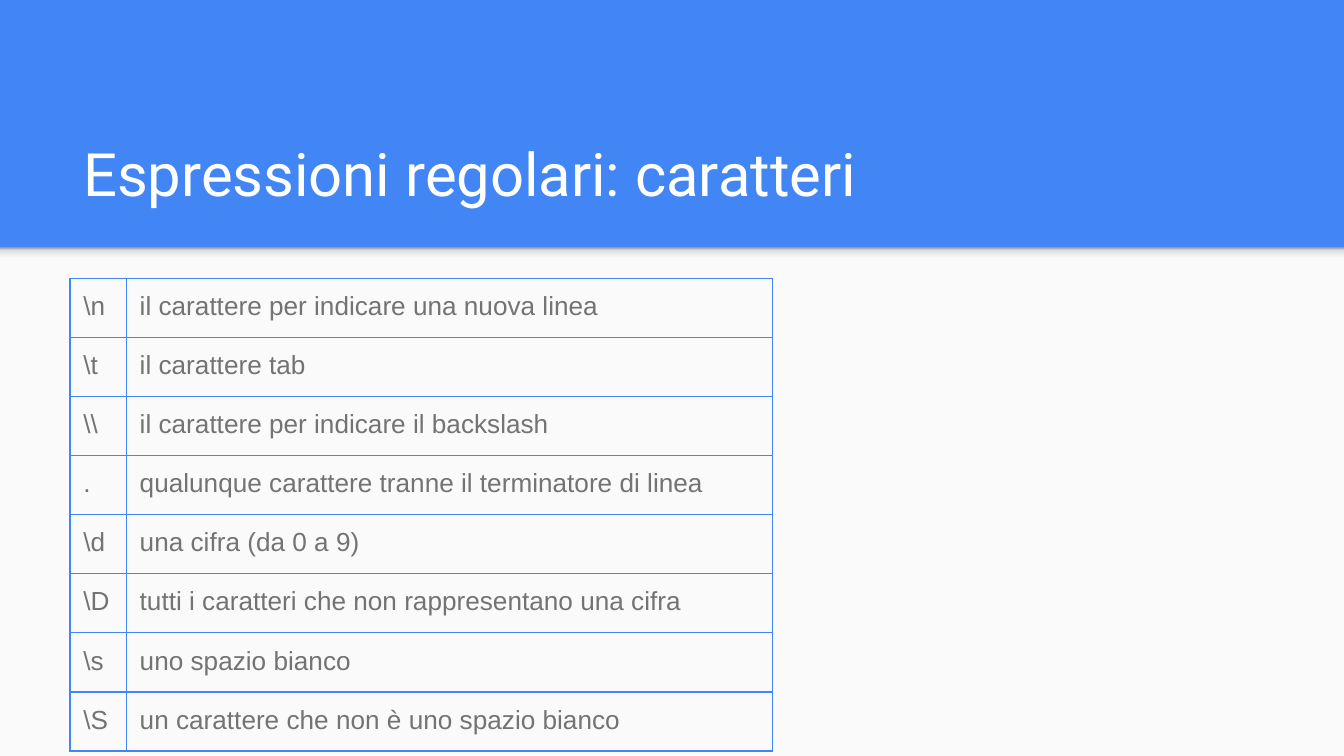
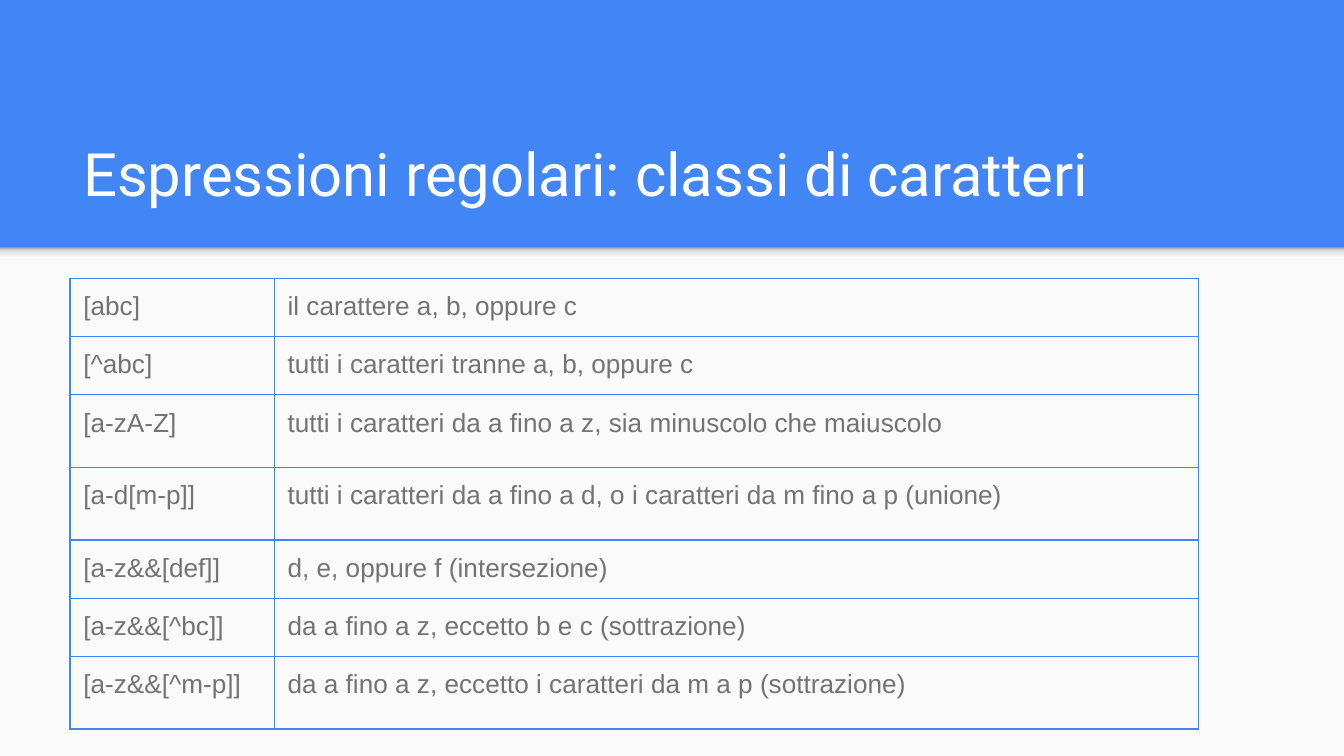
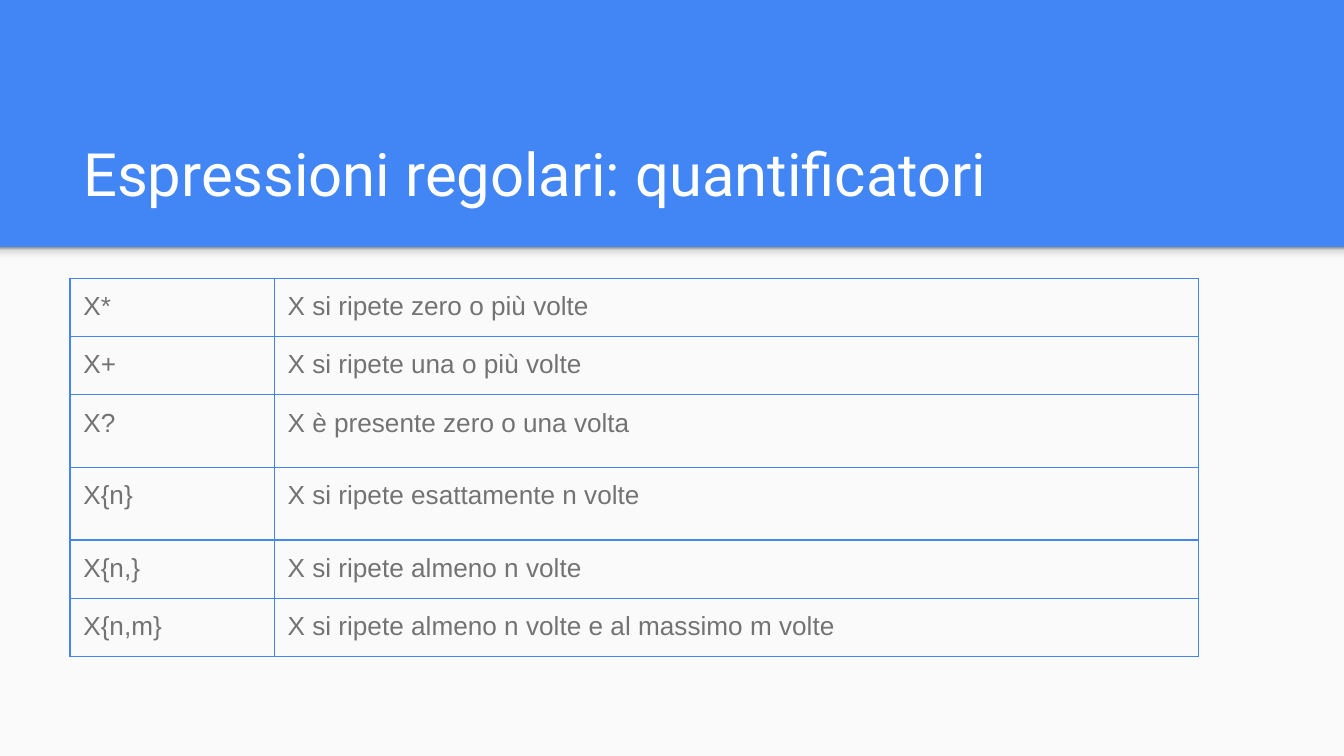
"""Build three slides of reference tables on regular expressions."""
from dataclasses import dataclass

from lxml import etree
from pptx import Presentation
from pptx.dml.color import RGBColor
from pptx.enum.shapes import MSO_SHAPE
from pptx.enum.text import MSO_ANCHOR
from pptx.oxml.ns import qn
from pptx.slide import Slide
from pptx.table import _Cell
from pptx.text.text import TextFrame
from pptx.util import Inches, Pt

RECTANGLE = MSO_SHAPE.RECTANGLE
TOP = MSO_ANCHOR.TOP
BOTTOM = MSO_ANCHOR.BOTTOM

BLUE = RGBColor(0x42, 0x85, 0xF4)
PAPER = RGBColor(0xFA, 0xFA, 0xFA)
WHITE = RGBColor(0xFF, 0xFF, 0xFF)
GREY = RGBColor(0x73, 0x73, 0x73)
SHADE_LIGHT = RGBColor(0xF9, 0xF9, 0xF9)
SHADE_MID = RGBColor(0xDE, 0xDE, 0xDE)
SHADE_DARK = RGBColor(0x99, 0x99, 0x99)
SHADE_STOPS = ((0, SHADE_LIGHT), (36, SHADE_LIGHT), (80, SHADE_MID), (100, SHADE_DARK))

SLIDE_WIDTH = Inches(10)
SLIDE_HEIGHT = SLIDE_WIDTH * 9 // 16
HEADER_HEIGHT = Inches(1.84)
SHADE_HEIGHT = Inches(0.12)
LEFT = Inches(0.52)
TABLE_TOP = Inches(2.07)
PADDING = Inches(0.1)
BORDER_WIDTH = Pt(0.75)
BORDER_SIDES = ("a:lnL", "a:lnR", "a:lnT", "a:lnB")

EVEN_ROW = 0.44
LOW_ROW = 0.43
TALL_ROW = 0.54
NARROW_COLUMNS = (0.42, 4.81)
WIDE_COLUMNS = (1.52, 6.88)


@dataclass(frozen=True)
class Entry:
    """A pattern, its meaning and the height of its row in inches."""

    pattern: str
    meaning: str
    height: float = LOW_ROW


@dataclass(frozen=True)
class Topic:
    """One slide: its title, column widths in inches and entries."""

    title: str
    columns: tuple[float, float]
    entries: tuple[Entry, ...]


TOPICS = (
    Topic("Espressioni regolari: caratteri", NARROW_COLUMNS, (
        Entry(r"\n", "il carattere per indicare una nuova linea", EVEN_ROW),
        Entry(r"\t", "il carattere tab", EVEN_ROW),
        Entry(r"\\", "il carattere per indicare il backslash", EVEN_ROW),
        Entry(".", "qualunque carattere tranne il terminatore di linea", EVEN_ROW),
        Entry(r"\d", "una cifra (da 0 a 9)", EVEN_ROW),
        Entry(r"\D", "tutti i caratteri che non rappresentano una cifra", EVEN_ROW),
        Entry(r"\s", "uno spazio bianco", EVEN_ROW),
        Entry(r"\S", "un carattere che non è uno spazio bianco", EVEN_ROW),
    )),
    Topic("Espressioni regolari: classi di caratteri", WIDE_COLUMNS, (
        Entry("[abc]", "il carattere a, b, oppure c"),
        Entry("[^abc]", "tutti i caratteri tranne a, b, oppure c"),
        Entry("[a-zA-Z]", "tutti i caratteri da a fino a z, sia minuscolo che maiuscolo", TALL_ROW),
        Entry("[a-d[m-p]]", "tutti i caratteri da a fino a d, o i caratteri da m fino a p (unione)",
              TALL_ROW),
        Entry("[a-z&&[def]]", "d, e, oppure f (intersezione)"),
        Entry("[a-z&&[^bc]]", "da a fino a z, eccetto b e c (sottrazione)"),
        Entry("[a-z&&[^m-p]]", "da a fino a z, eccetto i caratteri da m a p (sottrazione)", TALL_ROW),
    )),
    Topic("Espressioni regolari: quantificatori", WIDE_COLUMNS, (
        Entry("X*", "X si ripete zero o più volte"),
        Entry("X+", "X si ripete una o più volte"),
        Entry("X?", "X è presente zero o una volta", TALL_ROW),
        Entry("X{n}", "X si ripete esattamente n volte", TALL_ROW),
        Entry("X{n,}", "X si ripete almeno n volte"),
        Entry("X{n,m}", "X si ripete almeno n volte e al massimo m volte"),
    )),
)


def write(frame: TextFrame, text: str, font_name: str, size: int, color: RGBColor) -> None:
    """Set the text of a frame and format its runs."""
    frame.text = text
    for run in frame.paragraphs[0].runs:
        run.font.name = font_name
        run.font.size = Pt(size)
        run.font.color.rgb = color


def pad(box: TextFrame | _Cell) -> None:
    """Give a text frame or a cell the shared inner margins."""
    box.margin_left = box.margin_right = PADDING
    box.margin_top = box.margin_bottom = PADDING


def add_backdrop(slide: Slide) -> None:
    """Draw the blue header, the pale panel and the shade between them."""
    slide.background.fill.solid()
    slide.background.fill.fore_color.rgb = BLUE
    panel = slide.shapes.add_shape(
        RECTANGLE, 0, HEADER_HEIGHT, SLIDE_WIDTH, SLIDE_HEIGHT - HEADER_HEIGHT)
    panel.fill.solid()
    panel.fill.fore_color.rgb = PAPER
    shade = slide.shapes.add_shape(RECTANGLE, 0, HEADER_HEIGHT, SLIDE_WIDTH, SHADE_HEIGHT)
    shade.fill.gradient()
    shade.fill.gradient_angle = 90
    stops = shade.element.spPr.find(qn("a:gradFill")).find(qn("a:gsLst"))
    for stop in list(stops):
        stops.remove(stop)
    for percent, color in SHADE_STOPS:
        stop = etree.SubElement(stops, qn("a:gs"), pos=str(percent * 1000))
        etree.SubElement(stop, qn("a:srgbClr"), val=str(color))
    for band in (panel, shade):
        band.line.fill.background()
        band.shadow.inherit = False


def add_title(slide: Slide, text: str) -> None:
    """Write the slide title at the foot of the header."""
    title = slide.shapes.add_textbox(LEFT, Inches(0.81), Inches(8.99), Inches(0.84)).text_frame
    title.word_wrap = True
    title.vertical_anchor = BOTTOM
    pad(title)
    write(title, text, "Roboto", 32, WHITE)


def add_borders(cell: _Cell) -> None:
    """Outline a cell on all four sides."""
    properties = cell._tc.get_or_add_tcPr()
    for side in BORDER_SIDES:
        line = etree.SubElement(properties, qn(side), w=str(BORDER_WIDTH))
        fill = etree.SubElement(line, qn("a:solidFill"))
        etree.SubElement(fill, qn("a:srgbClr"), val=str(BLUE))


def add_entries(slide: Slide, topic: Topic) -> None:
    """Draw the table of patterns and meanings."""
    width = Inches(sum(topic.columns))
    height = Inches(sum(entry.height for entry in topic.entries))
    table = slide.shapes.add_table(
        len(topic.entries), len(topic.columns), LEFT, TABLE_TOP, width, height).table
    table.first_row = False
    table.horz_banding = False
    for column, column_width in zip(table.columns, topic.columns):
        column.width = Inches(column_width)
    for row, entry in zip(table.rows, topic.entries):
        row.height = Inches(entry.height)
        for cell, text in zip(row.cells, (entry.pattern, entry.meaning)):
            pad(cell)
            cell.vertical_anchor = TOP
            add_borders(cell)
            cell.fill.background()
            write(cell.text_frame, text, "Arial", 14, GREY)


def main() -> None:
    """Build and save the presentation."""
    presentation = Presentation()
    presentation.slide_width = SLIDE_WIDTH
    presentation.slide_height = SLIDE_HEIGHT
    blank = presentation.slide_layouts[6]
    for topic in TOPICS:
        slide = presentation.slides.add_slide(blank)
        add_backdrop(slide)
        add_title(slide, topic.title)
        add_entries(slide, topic)
    presentation.save("out.pptx")


if __name__ == "__main__":
    main()
